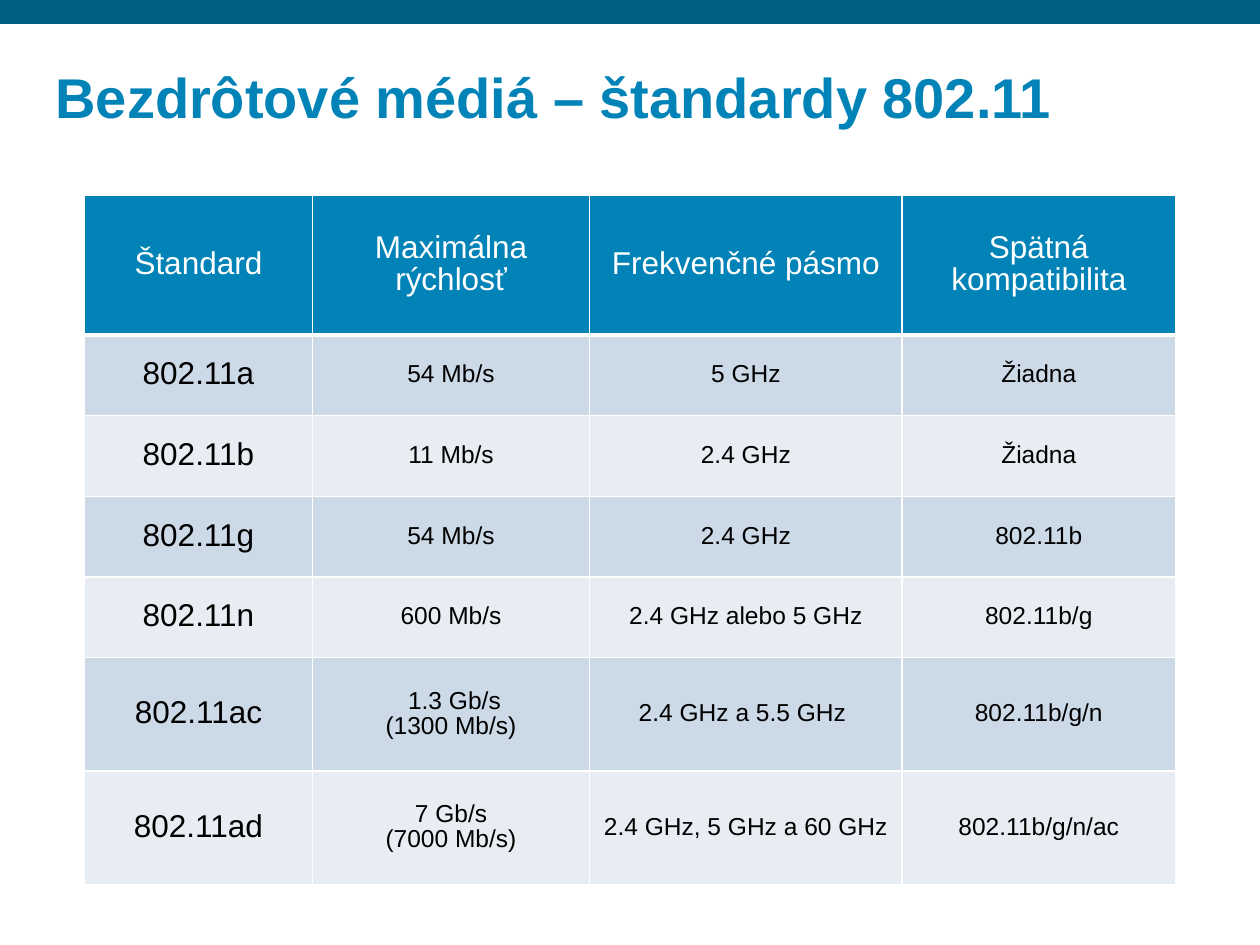
"""Build a slide with a table comparing the 802.11 wireless standards."""
from lxml import etree
from pptx import Presentation
from pptx.dml.color import RGBColor
from pptx.enum.shapes import MSO_SHAPE
from pptx.enum.text import MSO_ANCHOR, MSO_AUTO_SIZE, PP_ALIGN
from pptx.oxml.ns import qn
from pptx.util import Inches, Pt

RECTANGLE = MSO_SHAPE.RECTANGLE
MIDDLE, BOTTOM = MSO_ANCHOR.MIDDLE, MSO_ANCHOR.BOTTOM
LEFT, CENTER = PP_ALIGN.LEFT, PP_ALIGN.CENTER
NO_AUTOFIT = MSO_AUTO_SIZE.NONE

COLORS = {
    "bar": "015F85",
    "blue": "0183B7",
    "dark_band": "CCD9E6",
    "light_band": "E7EDF3",
    "white": "FFFFFF",
    "black": "000000",
}
COLUMN_WIDTHS = [1.81, 2.2, 2.48, 2.17]
ROW_HEIGHTS = [1.11] + [0.64] * 4 + [0.9] * 2
ROWS = [
    ["Štandard", "Maximálna rýchlosť", "Frekvenčné pásmo", "Spätná kompatibilita"],
    ["802.11a", "54 Mb/s", "5 GHz", "Žiadna"],
    ["802.11b", "11 Mb/s", "2.4 GHz", "Žiadna"],
    ["802.11g", "54 Mb/s", "2.4 GHz", "802.11b"],
    ["802.11n", "600 Mb/s", "2.4 GHz alebo 5 GHz", "802.11b/g"],
    ["802.11ac", " 1.3 Gb/s\n(1300 Mb/s)", "2.4 GHz a 5.5 GHz ", "802.11b/g/n"],
    ["802.11ad", "7 Gb/s\n(7000 Mb/s)", "2.4 GHz, 5 GHz a 60 GHz ", "802.11b/g/n/ac"],
]


def format_text(frame, align, size, color, bold=False):
    for para in frame.paragraphs:
        para.alignment = align
        para.line_spacing = 0.9
        for span in para.runs:
            values = {"name": "Arial", "size": Pt(size), "bold": bold}
            for name, value in values.items():
                setattr(span.font, name, value)
            span.font.color.rgb = RGBColor.from_string(COLORS[color])


def add_borders(cell, widths):
    properties = cell._tc.get_or_add_tcPr()
    for position, (side, width) in enumerate(widths.items()):
        line = etree.Element(qn(f"a:{side}"), w=str(Pt(width)))
        fill = etree.SubElement(line, qn("a:solidFill"))
        etree.SubElement(fill, qn("a:srgbClr"), val=COLORS["white"])
        properties.insert(position, line)


deck = Presentation()
deck.slide_width, deck.slide_height = Inches(10), Inches(7.5)
page = deck.slides.add_slide(deck.slide_layouts[5])

bar = page.shapes.add_shape(RECTANGLE, 0, 0, Inches(10), Inches(0.19))
bar.shadow.inherit = False
bar.fill.solid()
bar.fill.fore_color.rgb = RGBColor.from_string(COLORS["bar"])
bar.line.fill.background()

title = page.shapes.title
title_place = {"left": 0.35, "top": 0.33, "width": 9.29, "height": 0.75}
for name, value in title_place.items():
    setattr(title, name, Inches(value))
title_frame = title.text_frame
title_frame.text = "Bezdrôtové médiá – štandardy 802.11"
title_format = {
    "auto_size": NO_AUTOFIT,
    "vertical_anchor": BOTTOM,
    "margin_left": Inches(0.09),
    "margin_right": Inches(0.09),
    "margin_top": Inches(0.04),
    "margin_bottom": Inches(0.04),
}
for name, value in title_format.items():
    setattr(title_frame, name, value)
format_text(title_frame, LEFT, 32, "blue", bold=True)

table = page.shapes.add_table(
    len(ROWS), len(COLUMN_WIDTHS), Inches(0.67), Inches(1.55),
    Inches(sum(COLUMN_WIDTHS)), Inches(sum(ROW_HEIGHTS)),
).table
for column, width in zip(table.columns, COLUMN_WIDTHS):
    column.width = Inches(width)
for row, height in zip(table.rows, ROW_HEIGHTS):
    row.height = Inches(height)

for row_index, texts in enumerate(ROWS):
    header = row_index == 0
    band = "dark_band" if row_index % 2 else "light_band"
    for column_index, text in enumerate(texts):
        cell = table.cell(row_index, column_index)
        cell.text = text
        cell.vertical_anchor = MIDDLE
        cell.fill.solid()
        cell.fill.fore_color.rgb = RGBColor.from_string(COLORS["blue" if header else band])
        size = 18 if header or column_index == 0 else 14
        format_text(cell.text_frame, CENTER, size, "white" if header else "black")
        add_borders(cell, {"lnL": 1, "lnR": 1, "lnT": 1, "lnB": 3 if header else 1})

deck.save("out.pptx")
